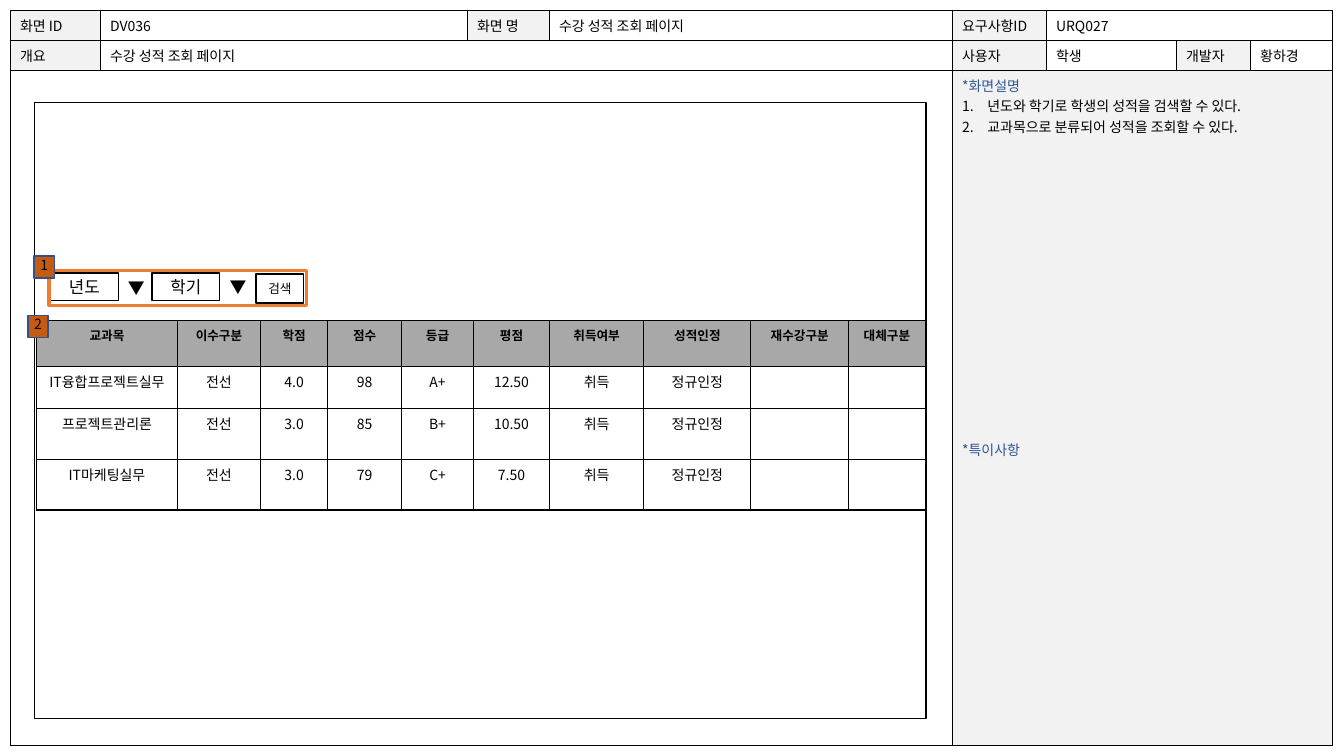
from lxml.etree import SubElement
from pptx import Presentation
from pptx.dml.color import RGBColor
from pptx.enum.shapes import MSO_SHAPE
from pptx.enum.text import MSO_ANCHOR, PP_ALIGN
from pptx.oxml.ns import qn
from pptx.util import Pt

BLACK = RGBColor(0x00, 0x00, 0x00)
WHITE = RGBColor(0xFF, 0xFF, 0xFF)
PALE = RGBColor(0xF2, 0xF2, 0xF2)
GRAY = RGBColor(0xA8, 0xA8, 0xA8)
BLUE = RGBColor(0x2F, 0x55, 0x97)
NAVY = RGBColor(0x2F, 0x52, 0x8F)
ORANGE = RGBColor(0xED, 0x7D, 0x31)
RUST = RGBColor(0xC5, 0x5A, 0x11)
FONT = "Noto Sans CJK KR"

FORM = [
    ["화면 ID", "DV036", "화면 명", "수강 성적 조회 페이지", "요구사항ID", "URQ027", "", ""],
    ["개요", "수강 성적 조회 페이지", "", "", "사용자", "학생", "개발자", "황하경"],
    [""] * 8,
]
LABELS = {(0, 0), (0, 2), (0, 4), (1, 0), (1, 4), (1, 6), (2, 4)}
SPANS = [(0, 5, 7), (1, 1, 3), (2, 0, 3), (2, 4, 7)]
NOTES = ["년도와 학기로 학생의 성적을 검색할 수 있다.", "교과목으로 분류되어 성적을 조회할 수 있다."]
GRADES = [
    ["교과목", "이수구분", "학점", "점수", "등급", "평점", "취득여부", "성적인정", "재수강구분", "대체구분"],
    ["IT융합프로젝트실무", "전선", "4.0", "98", "A+", "12.50", "취득", "정규인정", "", ""],
    ["프로젝트관리론", "전선", "3.0", "85", "B+", "10.50", "취득", "정규인정", "", ""],
    ["IT마케팅실무", "전선", "3.0", "79", "C+", "7.50", "취득", "정규인정", "", ""],
]


class Page:
    """Holds the font and the slide, and draws each kind of element."""

    def __init__(self, slide, font):
        self.slide = slide
        self.font = font

    def put(self, para, text, size=10, color=BLACK, bold=False, align=PP_ALIGN.LEFT):
        para.text = text
        para.alignment = align
        font = para.font
        font.size, font.bold, font.name = Pt(size), bold, self.font
        font.color.rgb = color
        props = para._p.pPr.find(qn("a:defRPr"))
        SubElement(props, qn("a:ea"), typeface=self.font)

    def number(self, para):
        props = para._p.pPr
        props.set("marL", str(Pt(18)))
        props.set("indent", str(Pt(-18)))
        mark = SubElement(props, qn("a:buAutoNum"), type="arabicPeriod")
        props.insert(0, mark)

    def edge(self, cell, width):
        props = cell._tc.get_or_add_tcPr()
        for side in ("a:lnL", "a:lnR", "a:lnT", "a:lnB"):
            line = SubElement(props, qn(side), w=str(Pt(width)))
            fill = SubElement(line, qn("a:solidFill"))
            SubElement(fill, qn("a:srgbClr"), val=str(BLACK))

    def table(self, left, top, cols, rows, data, line, fill, style):
        frame = self.slide.shapes.add_table(
            len(rows), len(cols), Pt(left), Pt(top), Pt(sum(cols)), Pt(sum(rows)))
        table = frame.table
        table.first_row = table.horz_banding = False
        for col, width in zip(table.columns, cols):
            col.width = Pt(width)
        for row, height in zip(table.rows, rows):
            row.height = Pt(height)
        for r, texts in enumerate(data):
            for c, text in enumerate(texts):
                cell = table.cell(r, c)
                self.edge(cell, line)
                cell.fill.solid()
                cell.fill.fore_color.rgb = fill(r, c)
                if text:
                    self.put(cell.text_frame.paragraphs[0], text, **style(r))
                else:
                    cell.margin_top = cell.margin_bottom = 0
        return table

    def box(self, left, top, width, height, fill=WHITE, line=BLACK, weight=1,
            text="", size=10, anchor=MSO_ANCHOR.MIDDLE):
        shape = self.slide.shapes.add_shape(
            MSO_SHAPE.RECTANGLE, Pt(left), Pt(top), Pt(width), Pt(height))
        shape.shadow.inherit = False
        if fill is None:
            shape.fill.background()
        else:
            shape.fill.solid()
            shape.fill.fore_color.rgb = fill
        shape.line.color.rgb = line
        shape.line.width = Pt(weight)
        if text:
            frame = shape.text_frame
            frame.margin_left = frame.margin_right = 0
            frame.margin_top = frame.margin_bottom = 0
            frame.vertical_anchor = anchor
            self.put(frame.paragraphs[0], text, size, align=PP_ALIGN.CENTER)

    def label(self, left, top, width, height, text, size):
        frame = self.slide.shapes.add_textbox(
            Pt(left), Pt(top), Pt(width), Pt(height)).text_frame
        frame.word_wrap = True
        self.put(frame.paragraphs[0], text, size)


def main():
    deck = Presentation()
    deck.slide_width, deck.slide_height = Pt(960), Pt(540)
    page = Page(deck.slides.add_slide(deck.slide_layouts[6]), FONT)

    form = page.table(
        7.2, 7.2, [64.3, 262.1, 58.6, 287.9, 67.1, 92.9, 52.9, 58.6], [21.4, 21.4, 482.2],
        FORM, 0.5, lambda r, c: PALE if (r, c) in LABELS else WHITE, lambda r: {})
    for row, start, end in SPANS:
        form.cell(row, start).merge(form.cell(row, end))
    side = form.cell(2, 4)
    side.margin_top = Pt(3.6)
    frame = side.text_frame
    page.put(frame.paragraphs[0], "*화면설명", color=BLUE)
    for note in NOTES:
        para = frame.add_paragraph()
        page.put(para, note)
        page.number(para)
    para = frame.add_paragraph()
    page.put(para, "*특이사항", color=BLUE)
    para.space_before = Pt(216.3)

    page.box(24.9, 73.4, 636.5, 440)
    page.table(
        26, 229, [100.8, 59.2, 48.2, 52.6, 51.6, 54, 67.6, 76.4, 69.8, 54.8],
        [33, 30, 36.3, 36], GRADES, 1, lambda r, c: WHITE if r else GRAY,
        lambda r: {"size": 10 if r else 9, "bold": r == 0, "align": PP_ALIGN.CENTER})

    for left, name in ((36, "년도"), (108.5, "학기")):
        page.box(left, 195.1, 48.5, 19.6, text=name, size=12)
    for left, top in ((84.2, 195.1), (156.9, 194.2)):
        page.label(left, top, 24, 21.6, "▼", 12)
    page.box(182.9, 195.8, 34, 20.6, text="검색", size=9)
    page.box(35, 193.2, 184.1, 25.2, None, ORANGE, 2.25)
    for left, top, mark in ((24.4, 182.9, "1"), (20, 225.5, "2")):
        page.box(left, top, 14.4, 15.8, RUST, NAVY, text=mark, anchor=MSO_ANCHOR.TOP)

    deck.save("out.pptx")


if __name__ == "__main__":
    main()
